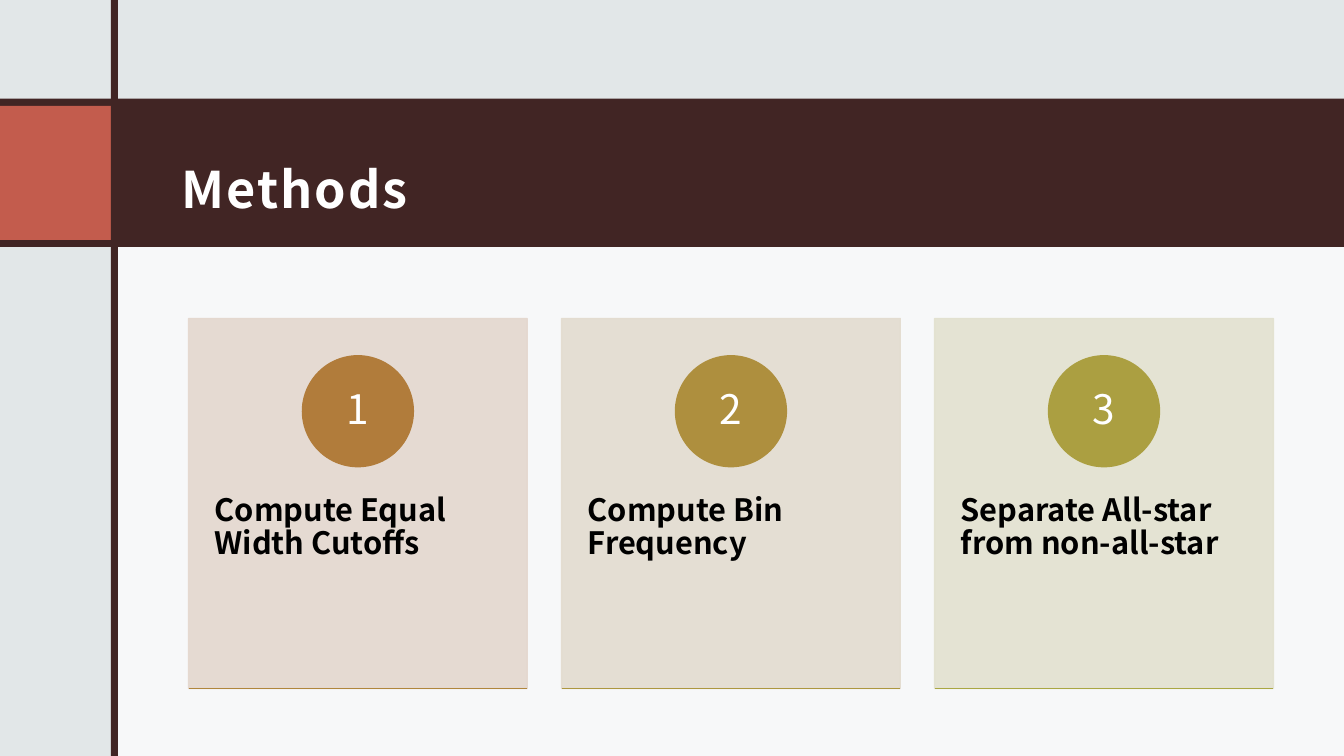
import pptx
import pptx.util
import pptx.dml.color
import pptx.enum.shapes
import pptx.enum.text
import pptx.oxml
import pptx.oxml.ns

Inches = pptx.util.Inches
Pt = pptx.util.Pt
SHAPES = pptx.enum.shapes.MSO_SHAPE
ALIGN = pptx.enum.text.PP_ALIGN
ANCHOR = pptx.enum.text.MSO_ANCHOR


def rgb(value):
    return pptx.dml.color.RGBColor.from_string(value)


def set_alpha(fill_format, percent):
    """Make every solid colour below the given element partly opaque."""
    for colour in fill_format.iter(pptx.oxml.ns.qn("a:srgbClr")):
        alpha = pptx.oxml.parse_xml(
            f'<a:alpha {pptx.oxml.ns.nsdecls("a")} val="{percent * 1000}"/>')
        colour.append(alpha)


def write(box, text, size, colour, bold=False, align=ALIGN.LEFT,
          anchor=ANCHOR.TOP, line=0.9, insets=(0, 0, 0, 0), tracking=None,
          font="Noto Sans CJK JP"):
    frame = box.text_frame
    frame.word_wrap = True
    frame.auto_size = pptx.enum.text.MSO_AUTO_SIZE.NONE
    frame.vertical_anchor = anchor
    (frame.margin_left, frame.margin_top,
     frame.margin_right, frame.margin_bottom) = map(Inches, insets)
    para = frame.paragraphs[0]
    para.alignment = align
    para.line_spacing = line
    para.space_before = Pt(0)
    span = para.add_run()
    span.text = text
    span.font.name = font
    span.font.size = Pt(size)
    span.font.bold = bold
    span.font.color.rgb = rgb(colour)
    if tracking:
        span._r.get_or_add_rPr().set("spc", str(int(tracking * 100)))


class Painter:
    dark, coral, pale, white, black = (
        "412524", "C35C4D", "E2E7E8", "FFFFFF", "000000")

    def __init__(self, page):
        self.page = page
        page.background.fill.solid()
        page.background.fill.fore_color.rgb = rgb(self.pale)

    def shape(self, left, top, width, height, fill, kind=SHAPES.RECTANGLE,
              line=None, opacity=100):
        shape = self.page.shapes.add_shape(
            kind, Inches(left), Inches(top), Inches(width), Inches(height))
        shape.shadow.inherit = False
        shape.fill.solid()
        shape.fill.fore_color.rgb = rgb(fill)
        if line:
            shape.line.color.rgb = rgb(line)
            shape.line.width = Pt(1)
        else:
            shape.line.fill.background()
        if opacity < 100:
            set_alpha(shape._element.spPr, opacity)
        return shape

    def rule(self, left, top, width, colour):
        rule = self.page.shapes.add_connector(
            pptx.enum.shapes.MSO_CONNECTOR.STRAIGHT, Inches(left), Inches(top),
            Inches(left + width), Inches(top))
        rule.line.color.rgb = rgb(colour)
        rule.line.width = Pt(1)
        rule._element.spPr.append(pptx.oxml.parse_xml(
            f'<a:effectLst {pptx.oxml.ns.nsdecls("a")}/>'))

    def text(self, left, top, width, height, text, **style):
        box = self.page.shapes.add_textbox(
            Inches(left), Inches(top), Inches(width), Inches(height))
        write(box, text, **style)

    def title(self, left, top, width, height, text, **style):
        title = self.page.shapes.title
        title.left, title.top = Inches(left), Inches(top)
        title.width, title.height = Inches(width), Inches(height)
        # Lift the title above the band drawn before it
        self.page.shapes._spTree.append(title._element)
        write(title, text, **style)

    def card(self, left, number, label, tint, disc, edge):
        top, width, height, diameter, number_side = 3.16, 3.36, 3.67, 1.1, 0.78
        middle = left + width / 2
        self.shape(left, top, width, height, tint, line=tint, opacity=90)
        self.text(left, 4.55, width, 2.2, label, size=22, colour=self.black,
                  bold=True, insets=(0.26, 0.36, 0.26, 0.36))
        self.shape(middle - diameter / 2, 3.53, diameter, diameter, disc,
                   kind=SHAPES.OVAL, line=disc)
        self.text(middle - number_side / 2, 3.69, number_side, number_side,
                  str(number), size=29, colour=self.white, align=ALIGN.CENTER,
                  anchor=ANCHOR.MIDDLE, insets=(0.09, 0.01, 0.09, 0.01))
        self.rule(left, top + height, width, edge)


def main():
    deck = pptx.Presentation()
    deck.slide_width, deck.slide_height = Inches(13.33), Inches(7.5)
    painter = Painter(deck.slides.add_slide(deck.slide_layouts[5]))

    # Content panel, title band and side bar
    painter.shape(1.14, 2.33, 12.19, 5.17, painter.white, opacity=75)
    painter.shape(0, 0.98, 13.33, 1.47, painter.dark)
    painter.title(1.68, 1.14, 10.95, 1.13, "Methods", size=36,
                  colour=painter.white, bold=True, anchor=ANCHOR.MIDDLE,
                  line=1.5, insets=(0.12, 0.12, 0.12, 0.1), tracking=1.5)
    painter.shape(0, 1.05, 1.1, 1.33, painter.coral)
    painter.shape(1.1, 0, 0.07, 7.5, painter.dark)

    # Numbered step cards
    steps = [
        ("Compute Equal Width Cutoffs", "E4D7CE", "B17C3B", "B0863D"),
        ("Compute Bin Frequency", "E3DCCF", "AE8F3E", "AD9740"),
        ("Separate All-star from non-all-star", "E2E1CF", "AB9F41", "AAA743"),
    ]
    for index, (label, tint, disc, edge) in enumerate(steps):
        painter.card(1.87 + 3.7 * index, index + 1, label, tint, disc, edge)

    deck.save("out.pptx")


if __name__ == "__main__":
    main()
